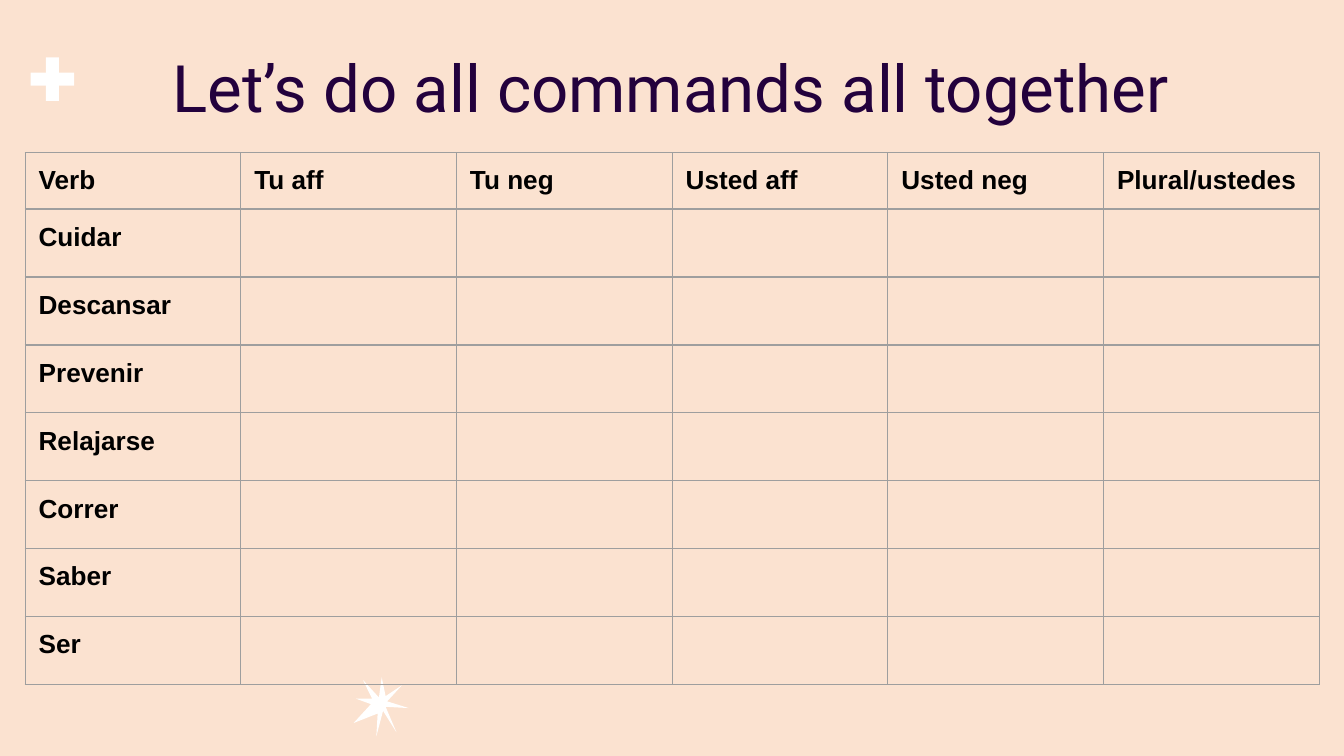
from lxml import etree
from pptx import Presentation
from pptx import util as u
from pptx.dml.color import RGBColor
from pptx.enum import shapes, text
from pptx.oxml import ns

PEACH = RGBColor(0xFB, 0xE2, 0xD0)
PURPLE = RGBColor(0x23, 0x01, 0x3D)
GREY = RGBColor(0x9E, 0x9E, 0x9E)
BLACK = RGBColor(0, 0, 0)
WHITE = RGBColor(0xFF, 0xFF, 0xFF)

HEADERS = ["Verb", "Tu aff", "Tu neg", "Usted aff", "Usted neg", "Plural/ustedes"]
VERBS = ["Cuidar", "Descansar", "Prevenir", "Relajarse", "Correr", "Saber", "Ser"]
COLUMN_WIDTH, HEADER_HEIGHT, ROW_HEIGHT = 115.56, 30.2, 34.5
INSET = u.Pt(7.2)

# Star outline, in points
STAR = [(207.4, 375.8), (218.9, 379.4), (206.6, 378.7), (212.4, 392.4),
        (205.2, 380.9), (201.6, 394.6), (202.3, 382.3), (189.4, 387.4),
        (198.7, 377.3), (190.8, 374.4), (199.4, 374.4), (194.4, 364.3),
        (203, 373.7), (204.5, 362.9), (206.6, 373), (215.3, 367.2)]


def add_run(paragraph, words, font_name, size, color, bold=False):
    run = paragraph.add_run()
    run.text = words
    run.font.name = font_name
    run.font.size = u.Pt(size)
    run.font.color.rgb = color
    run.font.bold = bold


def paint_white(shape):
    shape.shadow.inherit = False
    shape.fill.solid()
    shape.fill.fore_color.rgb = WHITE
    shape.line.fill.background()


def add_star(slide):
    points = [(u.Pt(x), u.Pt(y)) for x, y in STAR]
    builder = slide.shapes.build_freeform(*points[0])
    builder.add_line_segments(points[1:], close=True)
    paint_white(builder.convert_to_shape())


def add_plus(slide, center_x, center_y, length, thickness):
    for width, height in ((thickness, length), (length, thickness)):
        bar = slide.shapes.add_shape(
            shapes.MSO_SHAPE.RECTANGLE,
            u.Pt(center_x - width / 2), u.Pt(center_y - height / 2),
            u.Pt(width), u.Pt(height))
        paint_white(bar)


def set_title(slide, words):
    title = slide.shapes.title
    title.left, title.top = u.Pt(53.3), u.Pt(7.2)
    title.width, title.height = u.Pt(612.7), u.Pt(77.8)
    frame = title.text_frame
    frame.word_wrap = True
    frame.auto_size = text.MSO_AUTO_SIZE.NONE
    frame.vertical_anchor = text.MSO_ANCHOR.MIDDLE
    frame.margin_left = frame.margin_right = INSET
    frame.margin_top = frame.margin_bottom = INSET
    paragraph = frame.paragraphs[0]
    paragraph.alignment = text.PP_ALIGN.CENTER
    paragraph.line_spacing = 1.0
    add_run(paragraph, words, "Roboto", 35, PURPLE)


def format_cell(cell):
    cell.fill.background()
    cell.margin_left = cell.margin_right = INSET
    cell.margin_top = cell.margin_bottom = INSET
    # Borders come before the fill in the cell properties
    properties = cell._tc.get_or_add_tcPr()
    for index, side in enumerate(("a:lnL", "a:lnR", "a:lnT", "a:lnB")):
        border = etree.Element(ns.qn(side), w=str(u.Pt(0.75)))
        fill = etree.SubElement(border, ns.qn("a:solidFill"))
        etree.SubElement(fill, ns.qn("a:srgbClr"), val=str(GREY))
        properties.insert(index, border)


def add_verb_table(slide):
    rows = [HEADERS] + [[verb] + [""] * (len(HEADERS) - 1) for verb in VERBS]
    frame = slide.shapes.add_table(
        len(rows), len(HEADERS), u.Pt(13.5), u.Pt(81.8),
        u.Pt(COLUMN_WIDTH * len(HEADERS)),
        u.Pt(HEADER_HEIGHT + ROW_HEIGHT * len(VERBS)))
    table = frame.table
    table.first_row = table.horz_banding = False
    for column in table.columns:
        column.width = u.Pt(COLUMN_WIDTH)
    for row_index, words_in_row in enumerate(rows):
        table.rows[row_index].height = u.Pt(ROW_HEIGHT if row_index else HEADER_HEIGHT)
        for column_index, words in enumerate(words_in_row):
            cell = table.cell(row_index, column_index)
            format_cell(cell)
            if words:
                add_run(cell.text_frame.paragraphs[0], words, "Arial", 14, BLACK, True)


def main():
    presentation = Presentation()
    presentation.slide_width, presentation.slide_height = u.Pt(720), u.Pt(405)
    slide = presentation.slides.add_slide(presentation.slide_layouts[5])
    slide.background.fill.solid()
    slide.background.fill.fore_color.rgb = PEACH

    # Decorations
    add_star(slide)
    add_plus(slide, 28.1, 42.4, 23.4, 7)

    # Content
    set_title(slide, "Let’s do all commands all together")
    add_verb_table(slide)
    presentation.save("out.pptx")


if __name__ == "__main__":
    main()
